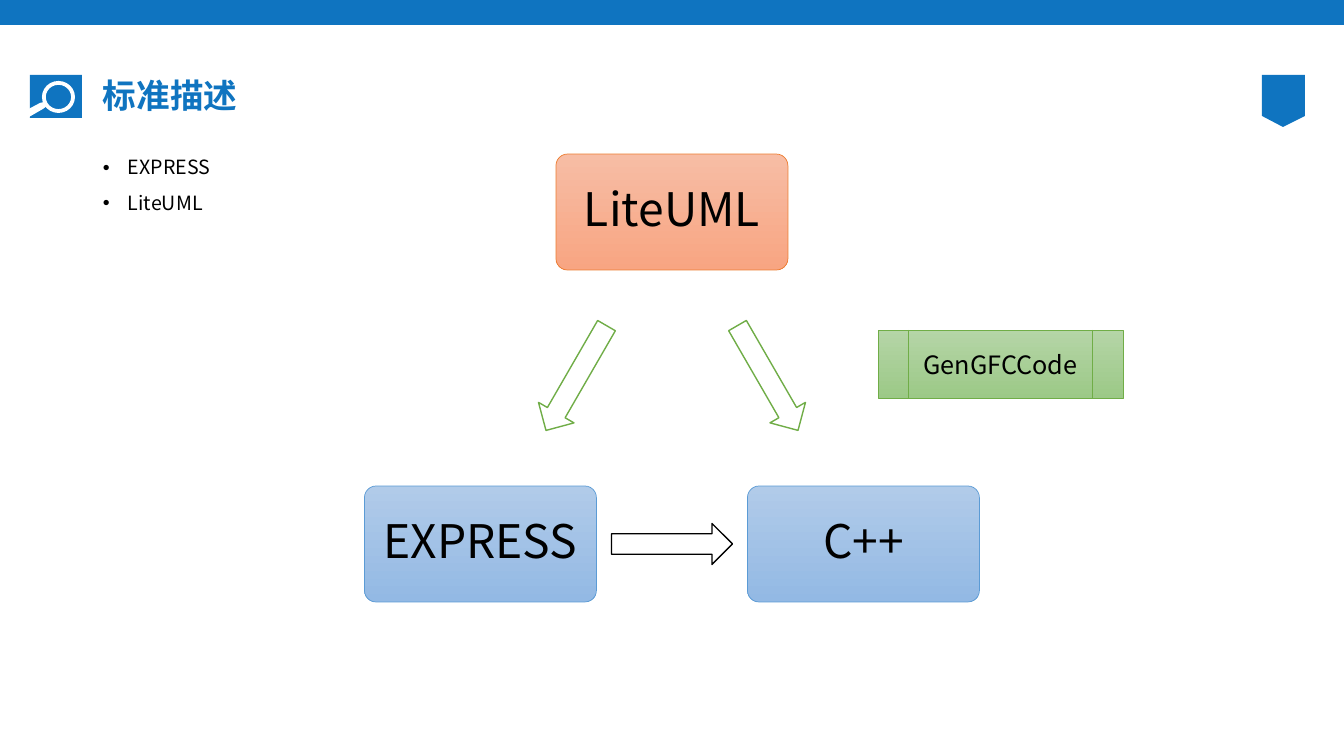
from dataclasses import dataclass

import lxml.etree
import pptx
import pptx.dml.color
import pptx.enum.shapes
import pptx.enum.text
import pptx.oxml.ns
import pptx.util

SHAPE = pptx.enum.shapes.MSO_SHAPE
ALIGN = pptx.enum.text.PP_ALIGN
ANCHOR = pptx.enum.text.MSO_ANCHOR
qn = pptx.oxml.ns.qn


@dataclass(frozen=True)
class Theme:
    font: str = "Noto Sans CJK SC"
    brand: str = "0F74C0"
    white: str = "FFFFFF"
    black: str = "000000"
    green: str = "70AD47"
    # Box styles: gradient top, gradient bottom, outline
    orange_box: tuple = ("F7BDA5", "F8A582", "ED7D31")
    blue_box: tuple = ("B1CBE9", "93B9E4", "5B9BD5")
    green_box: tuple = ("B5D5A7", "9CC987", "70AD47")
    title_pt: int = 24
    body_pt: int = 14
    box_pt: int = 33
    tool_pt: int = 18


T = Theme()


def px(n):
    return pptx.util.Emu(round(n * 914400 / 100.8))


def rgb(value):
    return pptx.dml.color.RGBColor.from_string(value)


def paint(sp, fill, line=None, width=1):
    """Apply a solid or (top, bottom) gradient fill and an optional outline."""
    sp.shadow.inherit = False
    if isinstance(fill, tuple):
        sp.fill.gradient()
        sp.fill.gradient_angle = 270
        for stop, value in zip(sp.fill.gradient_stops, fill):
            stop.color.rgb = rgb(value)
    else:
        sp.fill.solid()
        sp.fill.fore_color.rgb = rgb(fill)
    if line:
        sp.line.color.rgb = rgb(line)
        sp.line.width = pptx.util.Pt(width)
    else:
        sp.line.fill.background()


def add_shape(s, kind, box, fill, line=None, width=1):
    sp = s.shapes.add_shape(kind, *map(px, box))
    paint(sp, fill, line, width)
    return sp


def add_polygon(s, points, fill):
    start, *rest = [(px(x), px(y)) for x, y in points]
    builder = s.shapes.build_freeform(*start)
    builder.add_line_segments(rest, close=True)
    paint(builder.convert_to_shape(), fill)


def add_run(p, text, size, color=T.black, bold=False):
    r = p.add_run()
    r.text = text
    r.font.name = T.font
    r.font.size = pptx.util.Pt(size)
    r.font.bold = bold
    r.font.color.rgb = rgb(color)
    ea = lxml.etree.SubElement(r.font._element, qn("a:ea"))
    ea.set("typeface", T.font)


def add_text_box(s, box, anchor):
    tf = s.shapes.add_textbox(*map(px, box)).text_frame
    tf.word_wrap = True
    tf.vertical_anchor = anchor
    return tf


def add_title(s, box, text):
    p = add_text_box(s, box, ANCHOR.MIDDLE).paragraphs[0]
    p.line_spacing = 0.9
    add_run(p, text, T.title_pt, T.brand, bold=True)


def add_bullets(s, box, items):
    tf = add_text_box(s, box, ANCHOR.TOP)
    for i, item in enumerate(items):
        p = tf.add_paragraph() if i else tf.paragraphs[0]
        p.line_spacing = 0.9
        p.space_before = pptx.util.Pt(10)
        pPr = p._p.get_or_add_pPr()
        pPr.set("marL", str(px(25)))
        pPr.set("indent", str(-px(25)))
        font = lxml.etree.SubElement(pPr, qn("a:buFont"))
        font.set("typeface", "Arial")
        lxml.etree.SubElement(pPr, qn("a:buChar")).set("char", "•")
        add_run(p, item, T.body_pt)


def add_box(s, kind, box, text, style, size):
    top, bottom, outline = style
    sp = add_shape(s, kind, box, (top, bottom), outline, 0.5)
    tf = sp.text_frame
    tf.word_wrap = True
    tf.vertical_anchor = ANCHOR.MIDDLE
    tf.margin_left = tf.margin_right = px(8)
    p = tf.paragraphs[0]
    p.alignment = ALIGN.CENTER
    add_run(p, text, size)
    return sp


def add_node(s, center, text, style):
    w, h = 232, 116
    x, y = center
    sp = add_box(s, SHAPE.ROUNDED_RECTANGLE, (x - w / 2, y - h / 2, w, h),
                 text, style, T.box_pt)
    sp.adjustments[0] = 0.1
    sp.text_frame.paragraphs[0].line_spacing = 0.9


def add_arrow(s, center, angle, color):
    w, h = 121, 41
    x, y = center
    sp = add_shape(s, SHAPE.RIGHT_ARROW, (x - w / 2, y - h / 2, w, h),
                   T.white, color)
    sp.rotation = angle


def add_search_icon(s):
    add_shape(s, SHAPE.RECTANGLE, (30, 75, 52, 43), T.brand)
    add_polygon(s, [(40, 103), (25, 111), (24, 116), (29, 117),
                    (43, 109), (47, 106), (44, 102)], T.white)
    ring = add_shape(s, SHAPE.DONUT, (42, 81, 33, 32), T.white)
    ring.adjustments[0] = 0.12


def main():
    prs = pptx.Presentation()
    prs.slide_width, prs.slide_height = px(1344), px(756)
    s = prs.slides.add_slide(prs.slide_layouts[6])

    # Header band, icon and page marker
    add_shape(s, SHAPE.RECTANGLE, (0, 0, 1344, 25), T.brand)
    add_search_icon(s)
    add_polygon(s, [(1262, 75), (1305, 75), (1305, 116), (1283, 127),
                    (1262, 116)], T.brand)

    # Title and list
    add_title(s, (93, 76, 1159, 43), "标准描述")
    add_bullets(s, (93, 153, 1159, 536), ["EXPRESS", "LiteUML"])

    # Triangle of models, mirrored about the slide's centre line
    mid, spread, top, bottom = 672, 191.5, 212, 544
    add_node(s, (mid, top), "LiteUML", T.orange_box)
    add_node(s, (mid + spread, bottom), "C++", T.blue_box)
    add_node(s, (mid - spread, bottom), "EXPRESS", T.blue_box)
    half_way = (top + bottom) / 2
    add_arrow(s, (mid + spread / 2, half_way), 60, T.green)
    add_arrow(s, (mid - spread / 2, half_way), 120, T.green)
    add_arrow(s, (mid, bottom), 0, T.black)

    # Code generator
    add_box(s, SHAPE.FLOWCHART_PREDEFINED_PROCESS, (878, 330, 245, 68),
            "GenGFCCode", T.green_box, T.tool_pt)

    prs.save("out.pptx")


main()
